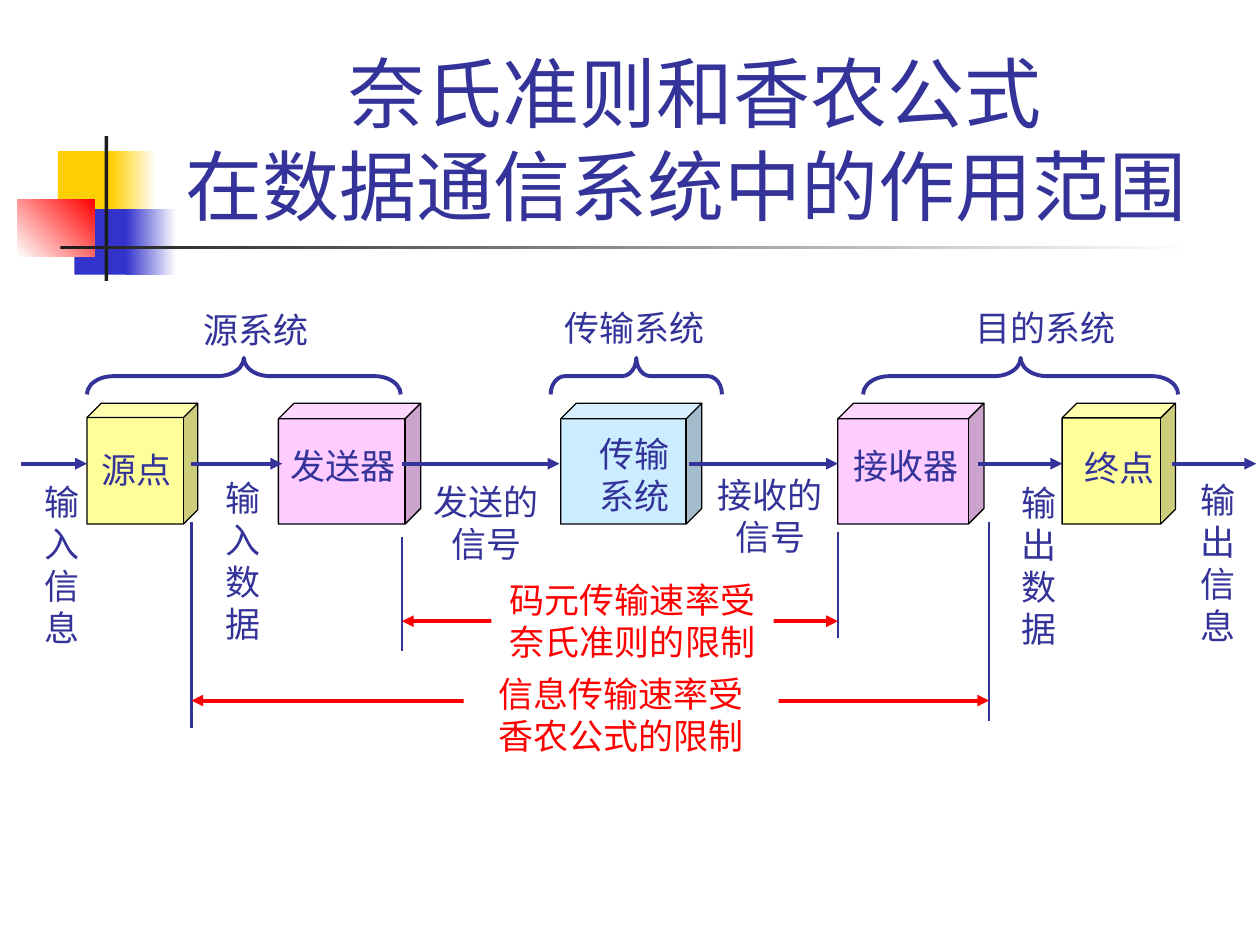
from collections import namedtuple
from dataclasses import dataclass

from lxml.etree import SubElement
from pptx import Presentation
from pptx.dml.color import RGBColor
from pptx.enum.shapes import MSO_CONNECTOR as Connector
from pptx.enum.shapes import MSO_SHAPE as Shape
from pptx.enum.text import MSO_ANCHOR as Anchor
from pptx.enum.text import PP_ALIGN as Align
from pptx.oxml.ns import qn
from pptx.util import Inches, Pt

Box = namedtuple("Box", "left top width height")


@dataclass(frozen=True)
class Theme:
    font: str = "Noto Sans CJK SC"
    ink: str = "333399"
    alert: str = "FF0000"
    paper: str = "FFFFFF"
    outline: str = "000000"
    bar: str = "1C1C1C"
    gold: str = "FFCF01"
    blue: str = "3333CC"
    yellow: str = "FFFF99"
    pink: str = "FFCCFF"
    sky: str = "CCECFF"
    title_size: int = 44
    body_size: int = 20
    line_ratio: float = 1.2
    heavy: float = 2.25
    medium: float = 1.5
    thin: float = 0.75


THEME = Theme()


def rgb(value):
    return RGBColor.from_string(value)


def lengths(box):
    return [Inches(value) for value in box]


def add_block(slide, kind, box, fill=None, line=None, width=None):
    shape = slide.shapes.add_shape(kind, *lengths(box))
    shape.shadow.inherit = False
    if fill:
        shape.fill.solid()
        shape.fill.fore_color.rgb = rgb(fill)
    else:
        shape.fill.background()
    if line:
        shape.line.color.rgb = rgb(line)
        shape.line.width = Pt(width)
    else:
        shape.line.fill.background()
    return shape


def add_gradient(slide, box, start, end, angle=0):
    shape = add_block(slide, Shape.RECTANGLE, box)
    shape.fill.gradient()
    shape.fill.gradient_angle = angle
    for stop, color in zip(shape.fill.gradient_stops, (start, end)):
        stop.color.rgb = rgb(color)


def write(shape, text, color=THEME.ink, size=THEME.body_size):
    frame = shape.text_frame
    frame.word_wrap = True
    frame.vertical_anchor = Anchor.TOP
    frame.margin_top = Inches(0.07)
    frame.margin_bottom = Inches(0.03)
    for index, line in enumerate(text.split("\n")):
        paragraph = frame.add_paragraph() if index else frame.paragraphs[0]
        paragraph.text = line
        paragraph.alignment = Align.CENTER
        paragraph.line_spacing = Pt(size * THEME.line_ratio)
        paragraph.font.size = Pt(size)
        paragraph.font.color.rgb = rgb(color)
        paragraph.font.name = THEME.font
        properties = paragraph._p.get_or_add_pPr().get_or_add_defRPr()
        SubElement(properties, qn("a:ea"), typeface=THEME.font)
    return frame


def add_label(slide, box, text, **style):
    return write(slide.shapes.add_textbox(*lengths(box)), text, **style)


def add_line(slide, start, end, color, width, ends=()):
    connector = slide.shapes.add_connector(Connector.STRAIGHT, *lengths(start + end))
    connector.line.color.rgb = rgb(color)
    connector.line.width = Pt(width)
    for name in ends:
        SubElement(connector.line._get_or_add_ln(), qn(name), type="triangle")
    SubElement(connector._element.spPr, qn("a:effectLst"))


def build_ornament(slide, box):
    def place(left, top, width, height):
        return Box(box.left + left, box.top + top, width, height)

    add_block(slide, Shape.RECTANGLE, place(0.32, 0.12, 0.48, 0.52), THEME.gold)
    add_gradient(slide, place(0.74, 0.12, 0.36, 0.52), THEME.gold, THEME.paper)
    add_block(slide, Shape.RECTANGLE, place(0.45, 0.58, 0.46, 0.52), THEME.blue)
    add_gradient(slide, place(0.86, 0.58, 0.4, 0.52), THEME.blue, THEME.paper)
    add_gradient(slide, place(0, 0.5, 0.61, 0.46), THEME.paper, THEME.alert, 45)
    add_block(slide, Shape.RECTANGLE, place(0.69, 0, 0.03, box.height), THEME.bar)
    add_gradient(slide, place(0.34, 0.87, box.width - 0.34, 0.03), THEME.bar, THEME.paper)


def build_title(slide, box):
    frame = add_label(slide, box, "奈氏准则和香农公式\v在数据通信系统中的作用范围 ",
                      size=THEME.title_size)
    frame.vertical_anchor = Anchor.BOTTOM
    frame.margin_bottom = 0


def build_systems(slide, box):
    depth = 0.29
    systems = [
        (0.69, 2.49, 0.72, "源系统", 1.46, 0.02, 1.14),
        (4.37, 1.36, 0.39, "传输系统", 4.37, 0, 1.33),
        (6.85, 2.5, 0.72, "目的系统", 7.59, 0, 1.42),
    ]
    for left, span, curve, name, label_left, drop, label_width in systems:
        middle = box.left + left + span / 2
        brace_top = box.top + box.height - (depth + span) / 2
        brace = add_block(slide, Shape.LEFT_BRACE,
                          Box(middle - depth / 2, brace_top, depth, span),
                          line=THEME.ink, width=THEME.heavy)
        brace.rotation = 90
        brace.adjustments[0] = curve
        add_label(slide, Box(box.left + label_left, box.top + drop, label_width, 0.43), name)


def build_stages(slide, box):
    stages = [
        (0.69, 0.88, THEME.yellow, "源点", 0.67, 0.29, 0.83),
        (2.21, 1.13, THEME.pink, "发送器", 2.18, 0.26, 1.08),
        (4.45, 1.12, THEME.sky, "传输\n系统", 4.61, 0.16, 0.86),
        (6.65, 1.16, THEME.pink, "接收器", 6.65, 0.26, 1.08),
        (8.43, 0.9, THEME.yellow, "终点", 8.47, 0.27, 0.83),
    ]
    for left, width, fill, name, label_left, drop, label_width in stages:
        cube = add_block(slide, Shape.CUBE, Box(box.left + left, box.top, width, box.height),
                         fill, THEME.outline, THEME.thin)
        cube.adjustments[0] = 0.13
        height = 0.43 + 0.33 * name.count("\n")
        add_label(slide, Box(box.left + label_left, box.top + drop, label_width, height), name)


def build_flows(slide, box):
    flows = [
        (0.17, 0.69, "输入信息", 0.16, 0.06, 0.67),
        (1.52, 2.24, "输入数据", 1.59, 0.03, 0.67),
        (3.19, 4.44, "发送的\n信号", 3.27, 0.06, 1.18),
        (5.47, 6.65, "接收的\n信号", 5.58, 0.01, 1.07),
        (7.76, 8.43, "输出数据", 7.91, 0.07, 0.67),
        (9.3, 9.97, "输出信息", 9.33, 0.05, 0.67),
    ]
    for start, end, name, label_left, drop, label_width in flows:
        add_line(slide, (box.left + start, box.top), (box.left + end, box.top),
                 THEME.ink, THEME.heavy, ("a:tailEnd",))
        height = 0.76 if "\n" in name else box.height
        add_label(slide, Box(box.left + label_left, box.top + drop, label_width, height), name)


def build_limit(slide, box, right_top, right_bottom, arrow, label, text):
    right = box.left + box.width
    add_line(slide, (box.left, box.top), (box.left, box.top + box.height),
             THEME.ink, THEME.medium)
    add_line(slide, (right, right_top), (right, right_bottom), THEME.ink, THEME.medium)
    add_line(slide, (box.left, arrow), (right, arrow), THEME.alert, THEME.heavy,
             ("a:headEnd", "a:tailEnd"))
    write(add_block(slide, Shape.RECTANGLE, label, THEME.paper), text, color=THEME.alert)


def main():
    presentation = Presentation()
    presentation.slide_width = Inches(10)
    presentation.slide_height = Inches(7.5)
    slide = presentation.slides.add_slide(presentation.slide_layouts[6])
    build_ornament(slide, Box(0.14, 1.08, 9.34, 1.15))
    build_title(slide, Box(1.26, 0.23, 8.52, 1.6))
    build_systems(slide, Box(0, 2.36, 10, 0.77))
    build_stages(slide, Box(0, 3.2, 10, 0.96))
    build_flows(slide, Box(0, 3.68, 10, 1.43))
    build_limit(slide, Box(3.19, 4.26, 3.46, 0.91), 4.22, 5.06, 4.93,
                Box(3.9, 4.52, 2.24, 0.76), "码元传输速率受\n奈氏准则的限制")
    build_limit(slide, Box(1.52, 4.14, 6.33, 1.64), 4.14, 5.72, 5.56,
                Box(3.68, 5.27, 2.5, 0.76), "信息传输速率受\n香农公式的限制")
    presentation.save("out.pptx")


if __name__ == "__main__":
    main()
